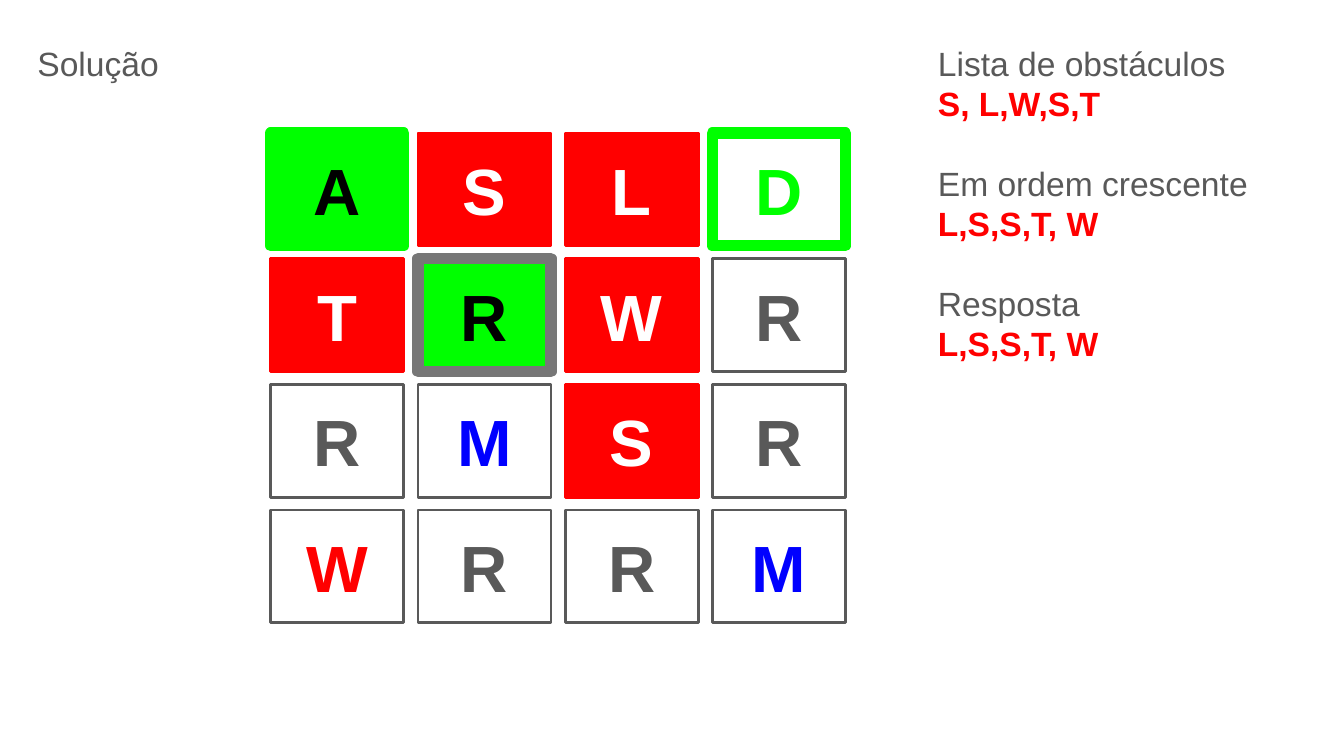
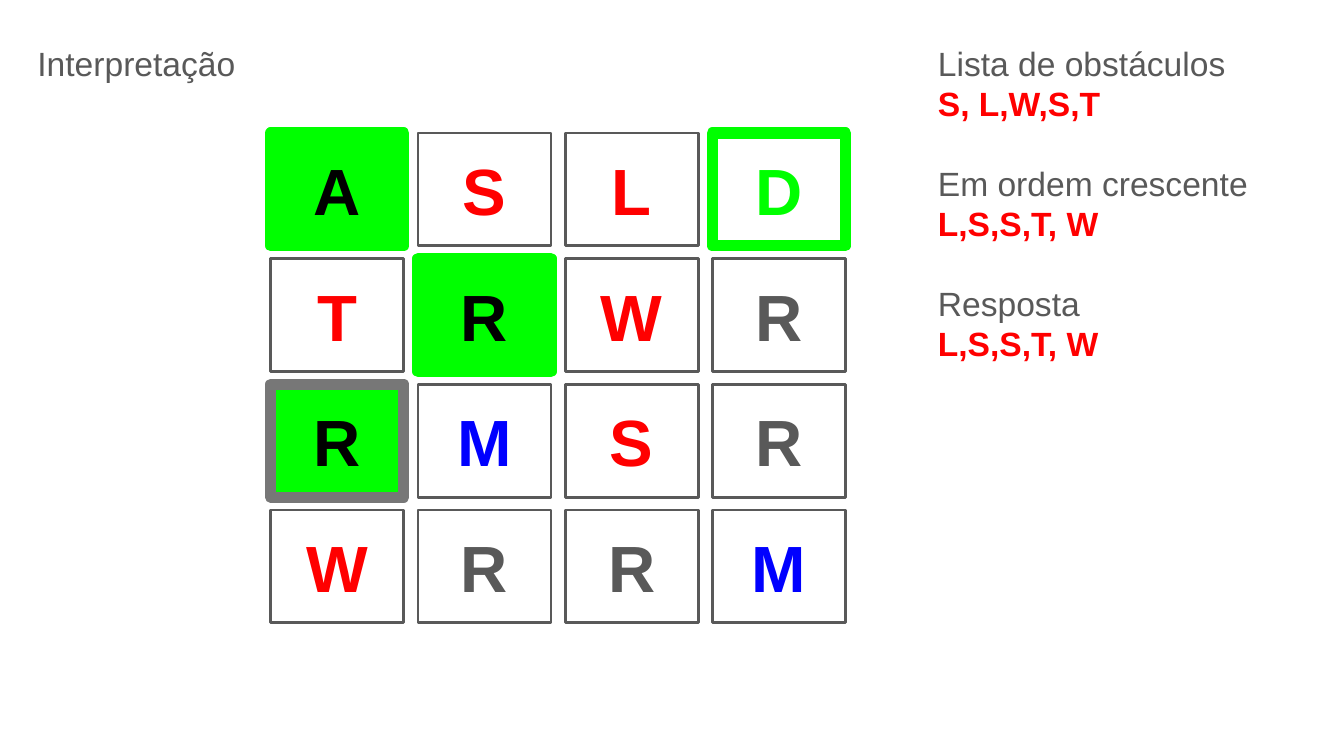
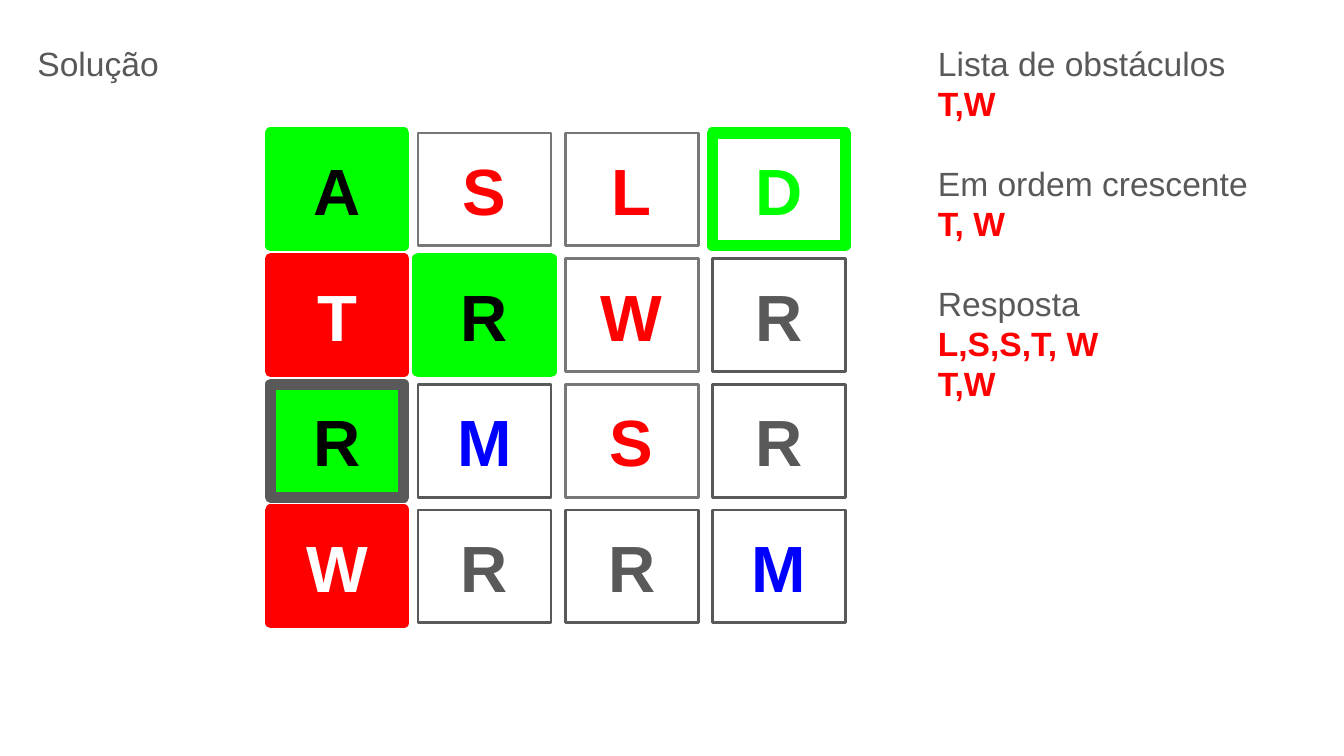
from dataclasses import dataclass
from typing import Optional

from pptx import Presentation
from pptx.dml.color import RGBColor
from pptx.enum.shapes import MSO_SHAPE as Shape
from pptx.enum.text import MSO_ANCHOR as Anchor, PP_ALIGN as Align
from pptx.util import Pt

PX = 4572
FONT = "Arial"
COLORS = {
    "black": "000000",
    "white": "FFFFFF",
    "dark": "595959",
    "gray": "777777",
    "red": "FF0000",
    "green": "00FF00",
    "blue": "0000FF",
}
THIN, THICK = 1.5, 6
SLIDE_W, SLIDE_H = 2000, 1125
INSET = 20
GRID_X, GRID_Y = 403, 198
PITCH_X, PITCH_Y = 219, 187
CELL_W, CELL_H = 198, 168
TITLE_BOX = (36, 44, 816, 92)
NOTES_BOX = (1376, 44, 562, 902)
LETTERS = ("ASLD", "TRWR", "RMSR", "WRRM")
HEADINGS = ("Lista de obstáculos", "Em ordem crescente", "Resposta")


@dataclass(frozen=True)
class CellStyle:
    """Colours and outline of one board cell."""

    text: str
    line: str = "dark"
    width: float = THIN
    fill: Optional[str] = None


@dataclass(frozen=True)
class Step:
    """One slide: its title, cell styles by row, and lines under each heading."""

    title: str
    board: tuple[str, ...]
    notes: tuple[tuple[str, ...], ...]


STYLES = {
    "free": CellStyle("dark"),
    "mine": CellStyle("blue"),
    "wall": CellStyle("red"),
    "pale": CellStyle("red", "gray"),
    "goal": CellStyle("green", "green", THICK),
    "path": CellStyle("black", "green", THICK, "green"),
    "here": CellStyle("black", "gray", THICK, "green"),
    "stop": CellStyle("black", "dark", THICK, "green"),
    "seen": CellStyle("white", "red", THIN, "red"),
    "last": CellStyle("white", "red", THICK, "red"),
}

FIRST_NOTES = (("S, L,W,S,T",), ("L,S,S,T, W",), ("L,S,S,T, W",))
STEPS = (
    Step(
        "Solução",
        (
            "path seen seen goal",
            "seen here seen free",
            "free mine seen free",
            "wall free free mine",
        ),
        FIRST_NOTES,
    ),
    Step(
        "Interpretação",
        (
            "path wall wall goal",
            "wall path wall free",
            "here mine wall free",
            "wall free free mine",
        ),
        FIRST_NOTES,
    ),
    Step(
        "Solução",
        (
            "path pale pale goal",
            "last path pale free",
            "stop mine pale free",
            "last free free mine",
        ),
        (("T,W",), ("T, W",), ("L,S,S,T, W", "T,W")),
    ),
)


def px(n: int) -> int:
    """Turn px into EMU."""
    return n * PX


def rgb(name: str) -> RGBColor:
    """Look up a named colour."""
    return RGBColor.from_string(COLORS[name])


def format_run(r, size: int, color: str, bold: bool = False) -> None:
    """Set the font of a run."""
    r.font.name = FONT
    r.font.size = Pt(size)
    r.font.bold = bold
    r.font.color.rgb = rgb(color)


def set_frame(tf, anchor) -> None:
    """Wrap a text frame and give it equal insets."""
    tf.word_wrap = True
    tf.vertical_anchor = anchor
    tf.margin_left = tf.margin_right = px(INSET)
    tf.margin_top = tf.margin_bottom = px(INSET)


def add_text(s, box: tuple[int, int, int, int]):
    """Add an empty text box and return its text frame."""
    tf = s.shapes.add_textbox(*map(px, box)).text_frame
    set_frame(tf, Anchor.TOP)
    return tf


def add_title(s, title: str) -> None:
    """Add the slide title."""
    tf = add_text(s, TITLE_BOX)
    tf.text = title
    format_run(tf.paragraphs[0].runs[0], 18, "dark")


def add_notes(s, notes: tuple[tuple[str, ...], ...]) -> None:
    """Add the headed obstacle lists on the right."""
    tf = add_text(s, NOTES_BOX)
    for i, (heading, lines) in enumerate(zip(HEADINGS, notes)):
        p = tf.add_paragraph() if i else tf.paragraphs[0]
        p.text = "\v".join((heading, *lines))
        p.space_before = Pt(21 if i else 0)
        for j, r in enumerate(p.runs):
            format_run(r, 18, "red" if j else "dark", bold=j > 0)


def add_cell(s, row: int, col: int, style: CellStyle) -> None:
    """Add one lettered cell of the board."""
    x, y = GRID_X + col * PITCH_X, GRID_Y + row * PITCH_Y
    sp = s.shapes.add_shape(Shape.RECTANGLE, px(x), px(y), px(CELL_W), px(CELL_H))
    sp.shadow.inherit = False
    if style.fill:
        sp.fill.solid()
        sp.fill.fore_color.rgb = rgb(style.fill)
    else:
        sp.fill.background()
    sp.line.color.rgb = rgb(style.line)
    sp.line.width = Pt(style.width)
    tf = sp.text_frame
    set_frame(tf, Anchor.MIDDLE)
    tf.text = LETTERS[row][col]
    p = tf.paragraphs[0]
    p.alignment = Align.CENTER
    format_run(p.runs[0], 35, style.text, bold=True)


def add_step(prs, step: Step) -> None:
    """Add one slide with its title, board and lists."""
    s = prs.slides.add_slide(prs.slide_layouts[6])
    for row, names in enumerate(step.board):
        for col, name in enumerate(names.split()):
            add_cell(s, row, col, STYLES[name])
    add_notes(s, step.notes)
    add_title(s, step.title)


def main() -> None:
    """Build the deck."""
    prs = Presentation()
    prs.slide_width, prs.slide_height = px(SLIDE_W), px(SLIDE_H)
    for step in STEPS:
        add_step(prs, step)
    prs.save("out.pptx")


if __name__ == "__main__":
    main()
